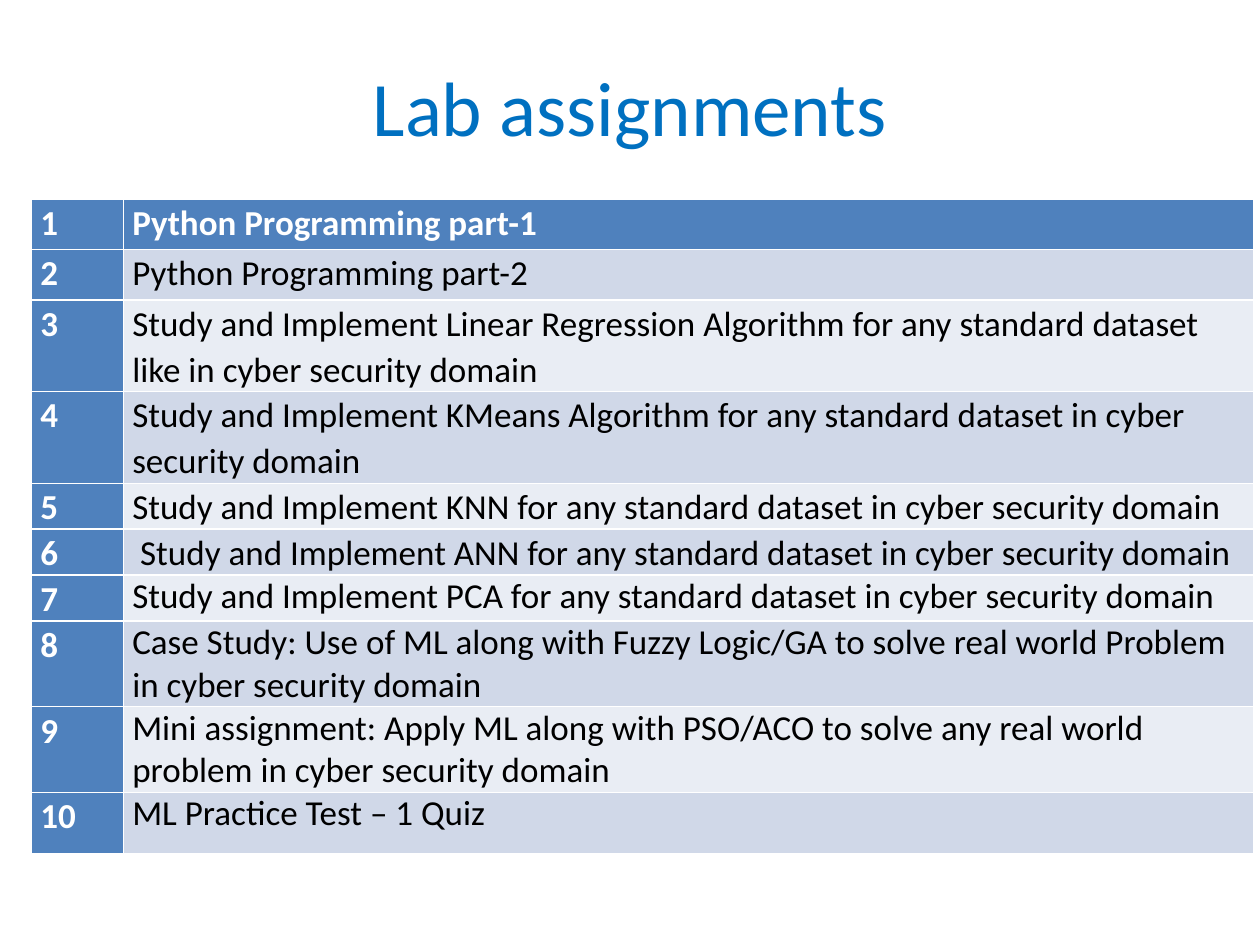
from dataclasses import dataclass

from pptx import Presentation
from pptx.dml.color import RGBColor
from pptx.enum.text import MSO_ANCHOR, PP_ALIGN
from pptx.util import Inches, Pt

TITLE_BLUE = RGBColor(0x00, 0x70, 0xC0)
HEADER_BLUE = RGBColor(0x4F, 0x81, 0xBD)
BAND_DARK = RGBColor(0xD0, 0xD8, 0xE8)
BAND_LIGHT = RGBColor(0xE9, 0xED, 0xF4)
WHITE = RGBColor(0xFF, 0xFF, 0xFF)
BLACK = RGBColor(0x00, 0x00, 0x00)
FONT = "Calibri"
LINE_SPACING = 1.07
COLUMN_WIDTHS = (0.73, 8.97)


@dataclass
class Assignment:
    text: str
    height: float
    spaced: bool = True


ASSIGNMENTS = [
    Assignment("Python Programming part-1", 0.4),
    Assignment("Python Programming part-2", 0.4),
    Assignment("Study and Implement Linear Regression Algorithm for any standard dataset "
               "like in cyber security domain", 0.63),
    Assignment("Study and Implement KMeans Algorithm for any standard dataset in cyber "
               "security domain", 0.4),
    Assignment("Study and Implement KNN for any standard dataset in cyber security domain", 0.34),
    Assignment(" Study and Implement ANN for any standard dataset in cyber security domain", 0.17),
    Assignment("Study and Implement PCA for any standard dataset in cyber security domain",
               0.08, False),
    Assignment("Case Study: Use of ML along with Fuzzy Logic/GA to solve real world Problem "
               "in cyber security domain", 0.54, False),
    Assignment("Mini assignment: Apply ML along with PSO/ACO to solve any real world "
               "problem in cyber security domain", 0.6, False),
    Assignment("ML Practice Test – 1 Quiz", 0.49, False),
]


def add_run(p, text: str, size: float, color: RGBColor, bold: bool = False) -> None:
    r = p.add_run()
    r.text = text
    r.font.name = FONT
    r.font.size = Pt(size)
    r.font.bold = bold
    r.font.color.rgb = color


def fill_cell(cell, text: str, fill: RGBColor, heading: bool):
    cell.fill.solid()
    cell.fill.fore_color.rgb = fill
    cell.margin_left = cell.margin_right = Inches(0.07)
    cell.margin_top = cell.margin_bottom = 0
    p = cell.text_frame.paragraphs[0]
    add_run(p, text, 20, WHITE if heading else BLACK, heading)
    return p


def add_title(slide, text: str) -> None:
    sp = slide.shapes.title
    sp.left, sp.top = Inches(0.5), Inches(0.42)
    sp.width, sp.height = Inches(9), Inches(0.83)
    tf = sp.text_frame
    tf.vertical_anchor = MSO_ANCHOR.MIDDLE
    p = tf.paragraphs[0]
    p.alignment = PP_ALIGN.CENTER
    add_run(p, text, 44, TITLE_BLUE)


def add_assignments(slide, assignments: list[Assignment]) -> None:
    height = sum(a.height for a in assignments)
    table = slide.shapes.add_table(
        len(assignments), len(COLUMN_WIDTHS), Inches(0.25), Inches(1.58),
        Inches(sum(COLUMN_WIDTHS)), Inches(height)).table
    table.first_col = True
    for column, width in zip(table.columns, COLUMN_WIDTHS):
        column.width = Inches(width)
    for i, a in enumerate(assignments):
        table.rows[i].height = Inches(a.height)
        p = fill_cell(table.cell(i, 0), str(i + 1), HEADER_BLUE, True)
        p.line_spacing = LINE_SPACING
        band = BAND_DARK if i % 2 else BAND_LIGHT
        p = fill_cell(table.cell(i, 1), a.text, HEADER_BLUE if i == 0 else band, i == 0)
        if a.spaced:
            p.line_spacing = LINE_SPACING
            p.space_after = Pt(8)


def main() -> None:
    prs = Presentation()
    prs.slide_width, prs.slide_height = Inches(10), Inches(7.5)
    slide = prs.slides.add_slide(prs.slide_layouts[5])
    add_title(slide, "Lab assignments")
    add_assignments(slide, ASSIGNMENTS)
    prs.save("out.pptx")


if __name__ == "__main__":
    main()
